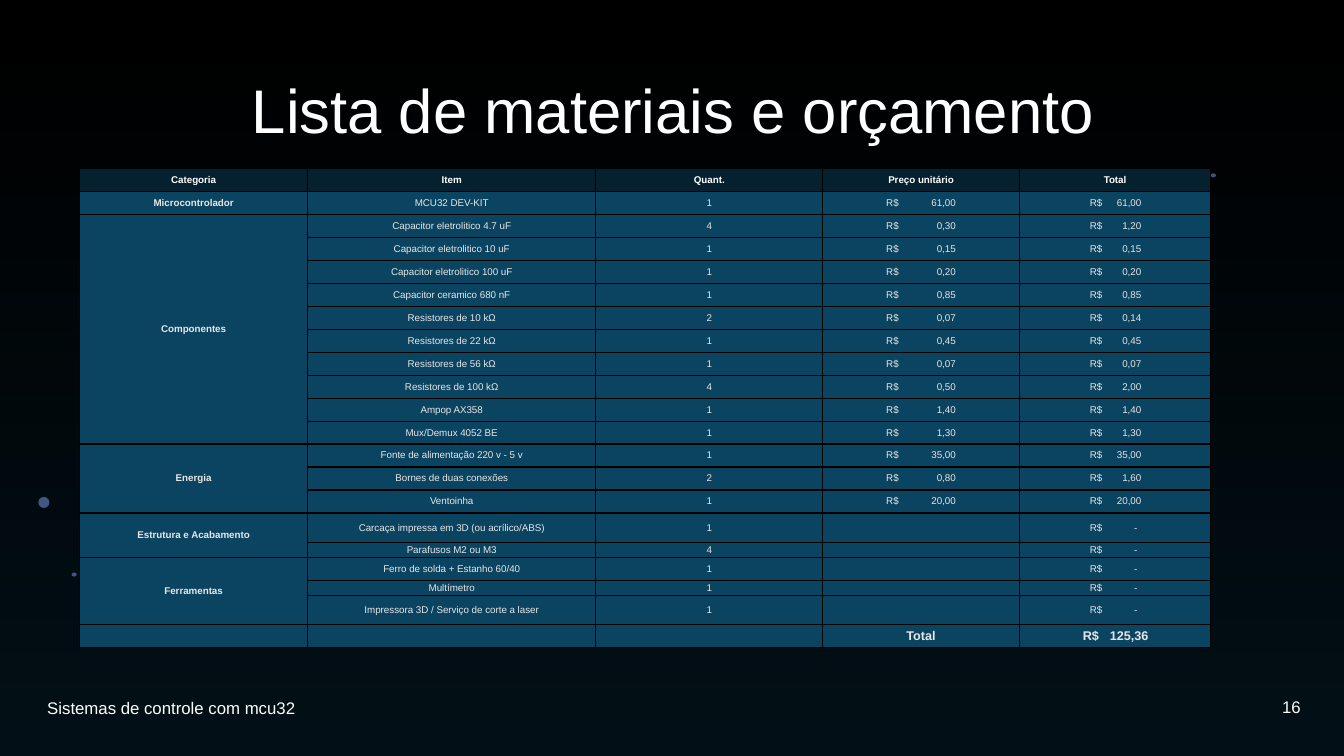
from lxml.etree import SubElement
from pptx import Presentation
from pptx.dml.color import RGBColor
from pptx.enum.shapes import MSO_SHAPE
from pptx.enum.text import MSO_ANCHOR, PP_ALIGN
from pptx.oxml.ns import qn
from pptx.util import Inches, Pt

BLACK, NAVY, TEAL, WHITE, GREY, BLUE = "000000", "05202E", "0B4461", "FFFFFF", "E7E6E6", "83A7FD"
WIDTH, HEIGHT = 13.33, 7.5


def paint(color_format, color, alpha=100):
    """Set a colour from a hex string, with its opacity in percent."""
    color_format.rgb = RGBColor.from_string(color)
    if alpha < 100:
        SubElement(color_format._xFill[0], qn("a:alpha"), val=str(alpha * 1000))


def format_text(paragraph, size, color, bold=False):
    for run in paragraph.runs:
        run.font.name = "Arial"
        run.font.size = Pt(size)
        run.font.bold = bold
        paint(run.font.color, color)


presentation = Presentation()
presentation.slide_width = Inches(WIDTH)
presentation.slide_height = Inches(HEIGHT)
slide = presentation.slides.add_slide(presentation.slide_layouts[6])

background = slide.background.fill
background.gradient()
background.gradient_angle = 270
for stop, position, color in zip(background.gradient_stops, (0, 0.99), (BLACK, NAVY)):
    stop.position = position
    paint(stop.color, color)

# Dark veil and the dots around the table
decorations = [
    (MSO_SHAPE.RECTANGLE, 0, 0, WIDTH, HEIGHT, BLACK, 50),
    (MSO_SHAPE.OVAL, 0.38, 4.93, 0.11, 0.11, BLUE, 49),
    (MSO_SHAPE.OVAL, 0.71, 5.68, 0.05, 0.04, BLUE, 49),
    (MSO_SHAPE.OVAL, 12.01, 1.72, 0.05, 0.04, BLUE, 49),
]
for preset, left, top, width, height, color, alpha in decorations:
    shape = slide.shapes.add_shape(preset, *map(Inches, (left, top, width, height)))
    shape.shadow.inherit = False
    shape.fill.solid()
    shape.line.fill.background()
    fill_color = shape.fill.fore_color
    fill_color.rgb = RGBColor.from_string(color)
    color_element = shape._element.spPr.find(qn("a:solidFill"))[0]
    SubElement(color_element, qn("a:alpha"), val=str(alpha * 1000))

text_boxes = [
    ("Lista de materiais e orçamento", 0.93, 0.4, 11.5, 1.45, 44, PP_ALIGN.CENTER, 0.9),
    ("Sistemas de controle com mcu32", 0.37, 6.82, 4.5, 0.4, 12, PP_ALIGN.LEFT, 1.0),
    ("16", 10, 6.81, 3, 0.4, 12, PP_ALIGN.RIGHT, 1.0),
]
for text, left, top, width, height, size, alignment, spacing in text_boxes:
    frame = slide.shapes.add_textbox(*map(Inches, (left, top, width, height))).text_frame
    frame.word_wrap = True
    frame.vertical_anchor = MSO_ANCHOR.MIDDLE
    frame.text = text
    paragraph = frame.paragraphs[0]
    paragraph.alignment = alignment
    paragraph.line_spacing = spacing
    format_text(paragraph, size, WHITE)

# Item, quantity, unit price and total, by category
materials = {
    "Microcontrolador": [("MCU32 DEV-KIT", "1", "61,00", "61,00")],
    "Componentes": [
        ("Capacitor eletrolitico 4.7 uF", "4", "0,30", "1,20"),
        ("Capacitor eletrolitico 10 uF", "1", "0,15", "0,15"),
        ("Capacitor eletrolitico 100 uF", "1", "0,20", "0,20"),
        ("Capacitor ceramico 680 nF", "1", "0,85", "0,85"),
        ("Resistores de 10 kΩ", "2", "0,07", "0,14"),
        ("Resistores de 22 kΩ", "1", "0,45", "0,45"),
        ("Resistores de 56 kΩ", "1", "0,07", "0,07"),
        ("Resistores de 100 kΩ", "4", "0,50", "2,00"),
        ("Ampop AX358", "1", "1,40", "1,40"),
        ("Mux/Demux 4052 BE", "1", "1,30", "1,30"),
    ],
    "Energia": [
        ("Fonte de alimentação 220 v - 5 v", "1", "35,00", "35,00"),
        ("Bornes de duas conexões", "2", "0,80", "1,60"),
        ("Ventoinha", "1", "20,00", "20,00"),
    ],
    "Estrutura e Acabamento": [
        ("Carcaça impressa em 3D (ou acrílico/ABS)", "1", "", "-"),
        ("Parafusos M2 ou M3", "4", "", "-"),
    ],
    "Ferramentas": [
        ("Ferro de solda + Estanho 60/40", "1", "", "-"),
        ("Multímetro", "1", "", "-"),
        ("Impressora 3D / Serviço de corte a laser", "1", "", "-"),
    ],
}
rows = [("Categoria", "Item", "Quant.", "Preço unitário", "Total")]
category_spans = []
for category, items in materials.items():
    category_spans.append((len(rows), len(rows) + len(items) - 1))
    for index, item in enumerate(items):
        rows.append((category if index == 0 else "", *item))
rows.append(("", "", "", "Total", "125,36"))
last_row = len(rows) - 1

column_widths = [2.26, 2.86, 2.25, 1.95, 1.9]
special_heights = {15: 0.29, 16: 0.15, 18: 0.15, 19: 0.29}
table_height = 4.76
regular_height = (table_height - sum(special_heights.values())) / (len(rows) - len(special_heights))
table = slide.shapes.add_table(
    len(rows), len(column_widths), Inches(0.79), Inches(1.67),
    Inches(sum(column_widths)), Inches(table_height)).table
for column, width in zip(table.columns, column_widths):
    column.width = Inches(width)

for row_index, values in enumerate(rows):
    table.rows[row_index].height = Inches(special_heights.get(row_index, regular_height))
    header, footer = row_index == 0, row_index == last_row
    size = 9 if footer else 7
    for column_index, value in enumerate(values):
        cell = table.cell(row_index, column_index)
        cell.vertical_anchor = MSO_ANCHOR.MIDDLE
        cell.margin_left = cell.margin_right = Inches(0.03)
        cell.margin_top = cell.margin_bottom = 0
        properties = cell._tc.get_or_add_tcPr()
        for side in ("lnL", "lnR", "lnT", "lnB"):
            line_width = 0.5 if header and side == "lnT" else 1
            border = SubElement(properties, qn(f"a:{side}"), w=str(Pt(line_width)))
            SubElement(SubElement(border, qn("a:solidFill")), qn("a:srgbClr"), val=BLACK)
        cell.fill.solid()
        paint(cell.fill.fore_color, NAVY if header else TEAL)

        paragraph = cell.text_frame.paragraphs[0]
        paragraph.alignment = PP_ALIGN.CENTER
        if not value:
            SubElement(paragraph._p, qn("a:endParaRPr"), sz=str(size * 100))
            continue
        is_amount = not header and column_index >= 3 and value != "Total"
        if is_amount:
            # Currency sign at the left, amount against a right tab
            if footer:
                indent, tab = 0.63, 0.65
            elif column_index == 3:
                indent, tab = 0.63, 0.69
            else:
                indent, tab = 0.7, 0.47 if value == "-" else 0.51
            cell.margin_left = Inches(indent)
            paragraph.alignment = PP_ALIGN.LEFT
            tab_list = SubElement(paragraph._p.get_or_add_pPr(), qn("a:tabLst"))
            SubElement(tab_list, qn("a:tab"), pos=str(Inches(tab)), algn="r")
            value = f"R$\t{value}"
        paragraph.text = value
        format_text(paragraph, size, WHITE if header else GREY,
                    bold=header or footer or column_index == 0)

for first, last in category_spans:
    if last > first:
        table.cell(first, 0).merge(table.cell(last, 0))

presentation.save("out.pptx")
